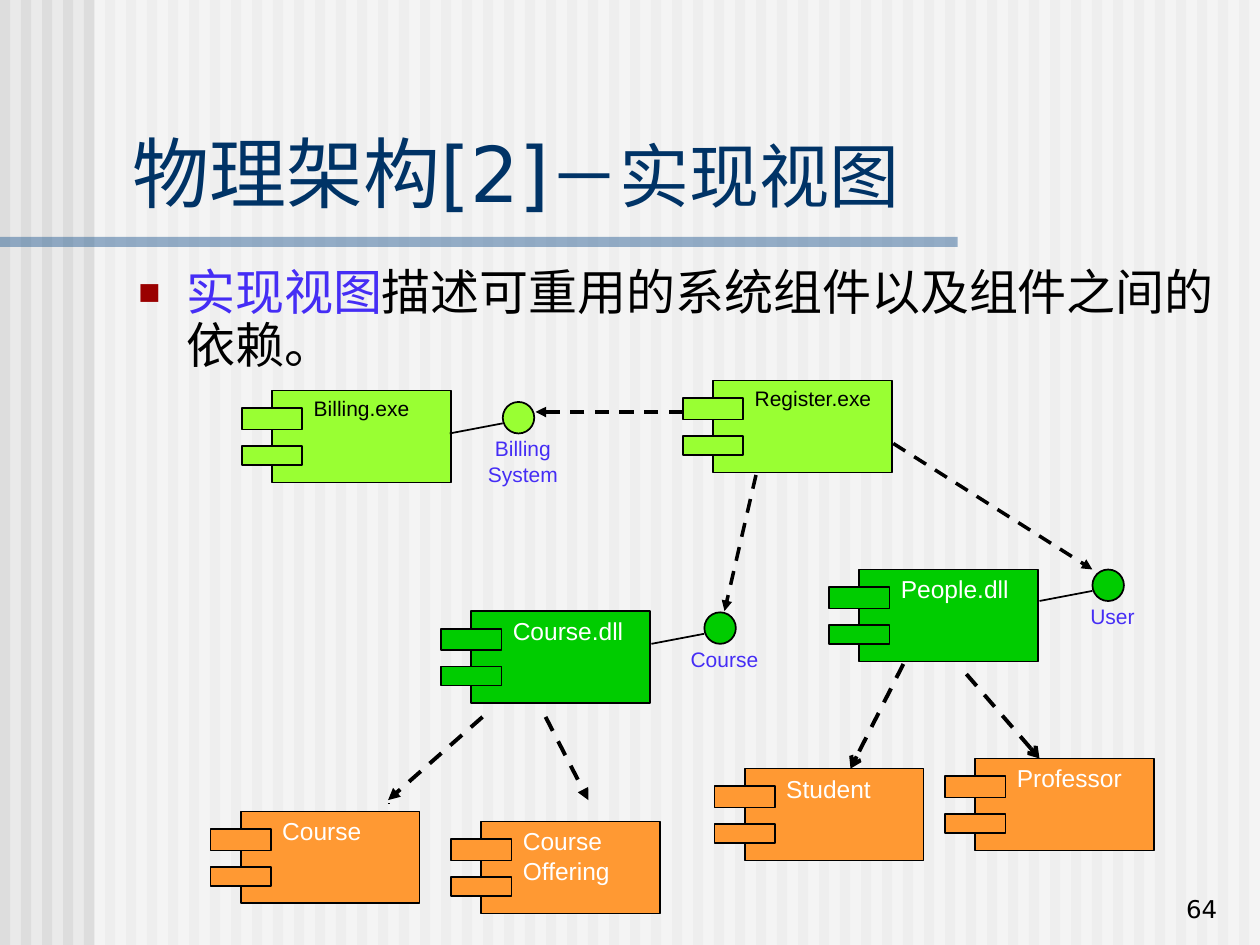
from lxml.etree import SubElement
from pptx import Presentation
from pptx.dml.color import RGBColor
from pptx.enum.dml import MSO_LINE
from pptx.enum.shapes import MSO_CONNECTOR, MSO_SHAPE
from pptx.enum.text import MSO_ANCHOR, PP_ALIGN
from pptx.oxml.ns import qn
from pptx.util import Inches, Pt

COLORS = {
    "background": "EAEAEA", "stripe": "DDDDDD", "white": "FFFFFF", "black": "000000",
    "rule": "336699", "title": "003366", "accent": "452DF5", "bullet": "9A0000",
    "lime": "99FF33", "green": "00CC00", "orange": "FF9933",
}


def rgb(name):
    return RGBColor.from_string(COLORS[name])


def add_filled(slide, kind, left, top, width, height, color, outline=None, alpha=None):
    shape = slide.shapes.add_shape(kind, Inches(left), Inches(top), Inches(width), Inches(height))
    shape.shadow.inherit = False
    shape.fill.solid()
    shape.fill.fore_color.rgb = rgb(color)
    if alpha is not None:
        fill_color = shape.fill._xPr.find(qn("a:solidFill"))[0]
        SubElement(fill_color, qn("a:alpha"), val=str(alpha * 1000))
    if outline:
        shape.line.color.rgb = rgb(outline)
        shape.line.width = Pt(1)
    else:
        shape.line.fill.background()
    return shape


def add_text(slide, box, paragraphs, size=14, color="black", font="Arial", align=PP_ALIGN.LEFT,
             anchor=MSO_ANCHOR.TOP, margins=(0, 0), wrap=True):
    shape = slide.shapes.add_textbox(*(Inches(length) for length in box))
    frame = shape.text_frame
    frame.word_wrap = wrap
    frame.vertical_anchor = anchor
    frame.margin_left = frame.margin_right = Inches(margins[0])
    frame.margin_top = frame.margin_bottom = Inches(margins[1])
    for index, runs in enumerate(paragraphs):
        paragraph = frame.paragraphs[0] if index == 0 else frame.add_paragraph()
        paragraph.alignment = align
        for text, changes in runs:
            run = paragraph.add_run()
            run.text = text
            run.font.name = font
            run.font.size = Pt(changes.get("size", size))
            run.font.color.rgb = rgb(changes.get("color", color))
            SubElement(run.font._element, qn("a:ea"), typeface=font)
    return shape


def plain(text):
    return [[(line, {})] for line in text.split("\n")]


def add_line(slide, start, end, width=1, head=None):
    line = slide.shapes.add_connector(MSO_CONNECTOR.STRAIGHT,
                                      *(Inches(length) for length in start + end))
    line.line.color.rgb = rgb("black")
    line.line.width = Pt(width)
    if head:
        line.line.dash_style = MSO_LINE.DASH
        SubElement(line.line._ln, qn("a:tailEnd"), type=head)
    SubElement(line._element.spPr, qn("a:effectLst"))


def add_backdrop(slide, width, height):
    slide.background.fill.solid()
    slide.background.fill.fore_color.rgb = rgb("background")
    for index in range(60):
        add_filled(slide, MSO_SHAPE.RECTANGLE, index / 6, 0, 0.08, height, "stripe")
    add_filled(slide, MSO_SHAPE.RECTANGLE, 0.75, 0, width - 0.75, height, "white", alpha=50)
    add_filled(slide, MSO_SHAPE.RECTANGLE, 0, 1.88, 7.6, 0.08, "rule", alpha=50)


def add_heading(slide, box):
    add_text(slide, box, [[("物理架构[2]", {}), ("－实现视图", {"size": 40})]],
             size=44, color="title", font="DejaVu Sans", anchor=MSO_ANCHOR.BOTTOM,
             margins=(0.1, 0.05))


def add_statement(slide, box):
    shape = add_text(slide, box, [[("实现视图", {"color": "accent"}),
                                   ("描述可重用的系统组件以及组件之间的依赖。", {})]],
                     size=28, font="DejaVu Sans", margins=(0.1, 0.05))
    paragraph = shape.text_frame.paragraphs[0]
    paragraph.line_spacing = 0.9
    paragraph.space_before = Pt(7)
    properties = paragraph._p.get_or_add_pPr()
    properties.set("marL", str(Inches(0.38)))
    properties.set("indent", str(Inches(-0.38)))
    bullet_color = SubElement(properties, qn("a:buClr"))
    SubElement(bullet_color, qn("a:srgbClr"), val=COLORS["bullet"])
    SubElement(properties, qn("a:buSzPct"), val="75000")
    SubElement(properties, qn("a:buFont"), typeface="Arial")
    SubElement(properties, qn("a:buChar"), char="■")


def add_component(slide, left, top, label, color, text_color, size):
    parts = [(0.24, 0, 1.42, 0.73), (0, 0.14, 0.48, 0.17), (0, 0.44, 0.48, 0.15)]
    for across, down, width, height in parts:
        add_filled(slide, MSO_SHAPE.RECTANGLE, left + across, top + down, width, height,
                   color, "black")
    height = 0.23 * len(label.split("\n"))
    add_text(slide, (left + 0.57, top + 0.04, 1.07, height), plain(label),
             size=size, color=text_color)


def add_interface(slide, left, top, label, color):
    add_line(slide, (left - 0.42, top + 0.25), (left, top + 0.17))
    add_filled(slide, MSO_SHAPE.OVAL, left, top, 0.25, 0.25, color, "black")
    height = 0.05 + 0.2 * len(label.split("\n"))
    add_text(slide, (left - 0.29, top + 0.25, 0.9, height), plain(label), size=12,
             color="accent", align=PP_ALIGN.CENTER, margins=(0.06, 0.02))


def add_diagram(slide):
    components = [
        (1.67, 6.44, "Course", "orange", "white", 14),
        (3.58, 6.52, "Course\nOffering", "orange", "white", 14),
        (5.67, 6.1, "Student", "orange", "white", 14),
        (7.5, 6.02, "Professor", "orange", "white", 14),
        (3.5, 4.85, "Course.dll", "green", "white", 14),
        (6.58, 4.52, "People.dll", "green", "white", 14),
        (5.42, 3.02, "Register.exe", "lime", "black", 12),
        (1.92, 3.1, "Billing.exe", "lime", "black", 12),
    ]
    interfaces = [
        (5.59, 4.86, "Course", "green"),
        (8.67, 4.52, "User", "green"),
        (3.99, 3.19, "Billing\nSystem", "lime"),
    ]
    dependencies = [
        ((5.42, 3.27), (4.25, 3.27), 2, "triangle"),
        ((6, 3.77), (5.75, 4.85), 2, "triangle"),
        ((7.09, 3.52), (8.67, 4.52), 2, "triangle"),
        ((3.83, 5.69), (3.08, 6.35), 2.25, "triangle"),
        ((4.33, 5.69), (4.67, 6.35), 2.25, "triangle"),
        ((7.17, 5.27), (6.75, 6.1), 2.25, "arrow"),
        ((7.67, 5.35), (8.25, 6.02), 2.25, "arrow"),
    ]
    for component in components:
        add_component(slide, *component)
    for interface in interfaces:
        add_interface(slide, *interface)
    for dependency in dependencies:
        add_line(slide, *dependency)
    add_line(slide, (3.09, 6.38), (3.09, 6.37))


def add_page_number(slide, box):
    add_text(slide, box, plain("64"), font="DejaVu Sans", align=PP_ALIGN.RIGHT,
             anchor=MSO_ANCHOR.BOTTOM, margins=(0.1, 0.05))


presentation = Presentation()
presentation.slide_width = Inches(10)
presentation.slide_height = Inches(7.5)
slide = presentation.slides.add_slide(presentation.slide_layouts[6])
add_backdrop(slide, 10, 7.5)
add_heading(slide, (0.95, 0.94, 8.93, 0.84))
add_statement(slide, (1, 2.08, 8.87, 1))
add_diagram(slide)
add_page_number(slide, (7.68, 6.88, 2.08, 0.5))
presentation.save("out.pptx")
